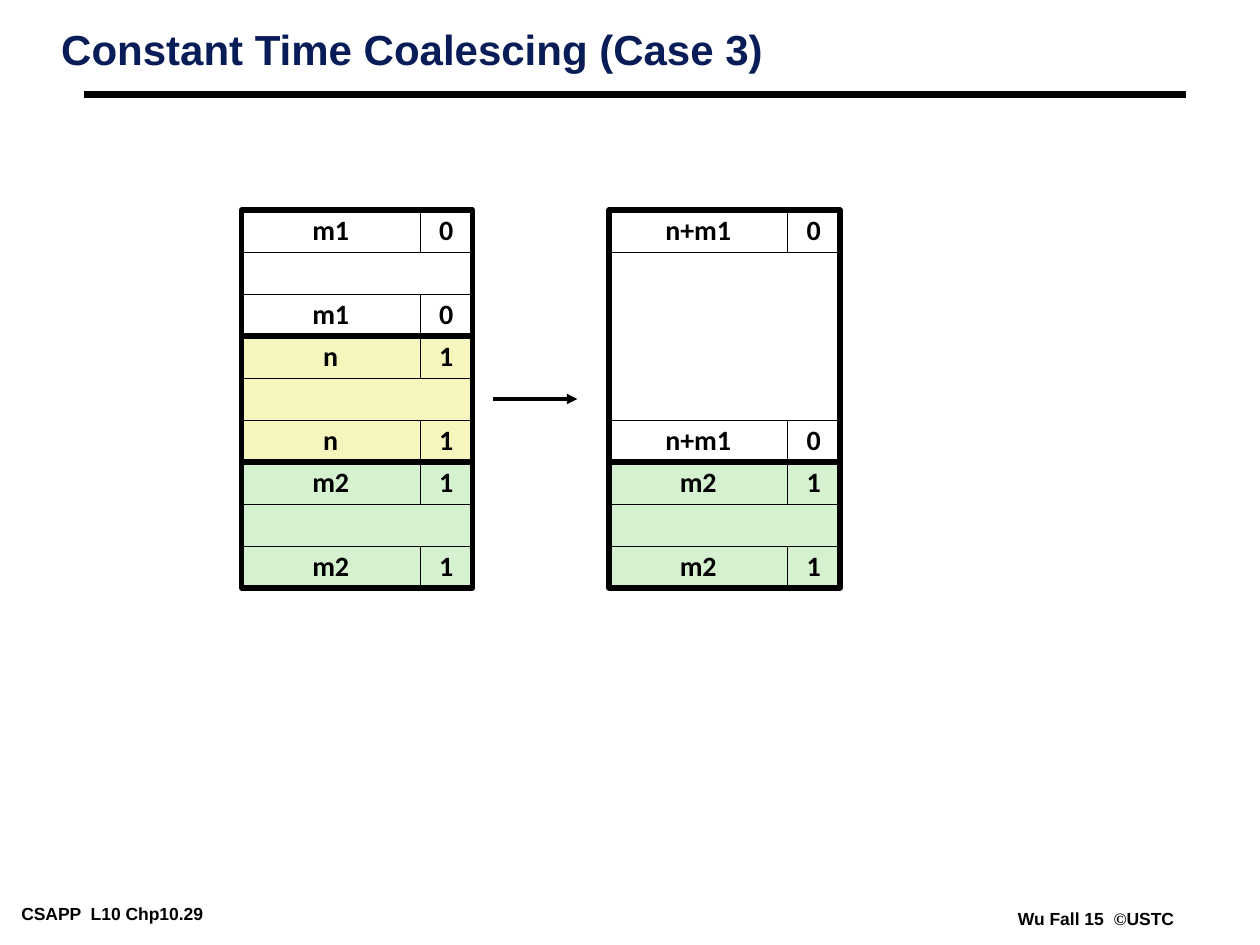
import pptx
import pptx.util
import pptx.dml.color
import pptx.enum.shapes
import pptx.enum.text
import pptx.oxml
import pptx.oxml.ns

Pt = pptx.util.Pt
RGBColor = pptx.dml.color.RGBColor
MSO_SHAPE = pptx.enum.shapes.MSO_SHAPE
MSO_CONNECTOR = pptx.enum.shapes.MSO_CONNECTOR
MSO_ANCHOR = pptx.enum.text.MSO_ANCHOR
MSO_AUTO_SIZE = pptx.enum.text.MSO_AUTO_SIZE
PP_ALIGN = pptx.enum.text.PP_ALIGN

BLACK = RGBColor(0x00, 0x00, 0x00)
WHITE = RGBColor(0xFF, 0xFF, 0xFF)
NAVY = RGBColor(0x08, 0x1D, 0x58)
YELLOW = RGBColor(0xF6, 0xF5, 0xBD)
GREEN = RGBColor(0xD5, 0xF1, 0xCF)

# Content
TITLE = "Constant Time Coalescing (Case 3)"
FOOTERS = [  # left, top, width, runs of (text, font)
    (7.2, 513.4, 151.2, [("CSAPP  L10 Chp10.29", "Arial")]),
    (576.7, 516.2, 99.4, [("Wu Fall 15  ", "Arial"), ("©", "Times New Roman"),
                          ("USTC", "Arial")]),
]
HEAPS = [  # left, blocks of (size, allocated flag, body rows, fill)
    (138, [("m1", "0", 1, WHITE), ("n", "1", 1, YELLOW), ("m2", "1", 1, GREEN)]),
    (348, [("n+m1", "0", 4, WHITE), ("m2", "1", 1, GREEN)]),
]

# Layout
HEAP_TOP, ROW, SIZE_W, FLAG_W = 120, 24, 102, 30
BLOCK_W = SIZE_W + FLAG_W


def add_run(p, text, font, size, color):
    r = p.add_run()
    r.text = text
    r.font.name = font
    r.font.size = Pt(size)
    r.font.bold = True
    r.font.color.rgb = color


def set_insets(tf, x, y):
    tf.margin_left = tf.margin_right = Pt(x)
    tf.margin_top = tf.margin_bottom = Pt(y)


def add_rect(s, x, y, w, h, fill=None, text="", line=0.25):
    sp = s.shapes.add_shape(MSO_SHAPE.RECTANGLE, Pt(x), Pt(y), Pt(w), Pt(h))
    sp.shadow.inherit = False
    if fill is None:
        sp.fill.background()
    else:
        sp.fill.solid()
        sp.fill.fore_color.rgb = fill
    sp.line.color.rgb = BLACK
    sp.line.width = Pt(line)
    if text:
        tf = sp.text_frame
        tf.word_wrap = False
        tf.vertical_anchor = MSO_ANCHOR.MIDDLE
        set_insets(tf, 7.2, 3.6)
        p = tf.paragraphs[0]
        p.alignment = PP_ALIGN.CENTER
        p.line_spacing = 0.98
        add_run(p, text, "Calibri", 16, BLACK)


def add_line(s, x1, y1, x2, y2, width, arrow=False):
    sp = s.shapes.add_connector(MSO_CONNECTOR.STRAIGHT, Pt(x1), Pt(y1), Pt(x2), Pt(y2))
    sp.line.color.rgb = BLACK
    sp.line.width = Pt(width)
    if arrow:
        ln = sp.line._get_or_add_ln()
        ln.append(pptx.oxml.parse_xml(
            '<a:tailEnd %s type="triangle"/>' % pptx.oxml.ns.nsdecls("a")))
    sp._element.spPr.append(pptx.oxml.parse_xml(
        "<a:effectLst %s/>" % pptx.oxml.ns.nsdecls("a")))


def add_block(s, x, y, size, flag, body_rows, fill):
    """Draw header, body, footer and thick outline; return the bottom edge."""
    body_h = body_rows * ROW
    for row_y in (y, y + ROW + body_h):
        add_rect(s, x, row_y, SIZE_W, ROW, fill, size)
        add_rect(s, x + SIZE_W, row_y, FLAG_W, ROW, fill, flag)
    add_rect(s, x, y + ROW, BLOCK_W, body_h, fill)
    height = body_h + 2 * ROW
    add_rect(s, x, y, BLOCK_W, height, line=3)
    return y + height


def main():
    prs = pptx.Presentation()
    prs.slide_width, prs.slide_height = Pt(720), Pt(540)
    s = prs.slides.add_slide(prs.slide_layouts[5])

    # Title and rule
    title = s.shapes.title
    title.left, title.top, title.width, title.height = Pt(30), Pt(15), Pt(660), Pt(45)
    tf = title.text_frame
    tf.word_wrap = True
    tf.auto_size = MSO_AUTO_SIZE.NONE
    tf.vertical_anchor = MSO_ANCHOR.TOP
    set_insets(tf, 5, 2.5)
    p = tf.paragraphs[0]
    p.alignment = PP_ALIGN.LEFT
    p.line_spacing = 0.87
    add_run(p, TITLE, "Arial", 24, NAVY)
    add_line(s, 48, 54, 678, 54, 4.5)

    # Heap before and after coalescing
    for x, blocks in HEAPS:
        y = HEAP_TOP
        for block in blocks:
            y = add_block(s, x, y, *block)
    add_line(s, 282, 228, 330, 228, 2, arrow=True)

    # Footers
    for x, y, w, runs in FOOTERS:
        tf = s.shapes.add_textbox(Pt(x), Pt(y), Pt(w), Pt(16)).text_frame
        tf.word_wrap = False
        tf.auto_size = MSO_AUTO_SIZE.SHAPE_TO_FIT_TEXT
        set_insets(tf, 5, 2.5)
        for text, font in runs:
            add_run(tf.paragraphs[0], text, font, 10, BLACK)

    prs.save("out.pptx")


if __name__ == "__main__":
    main()
